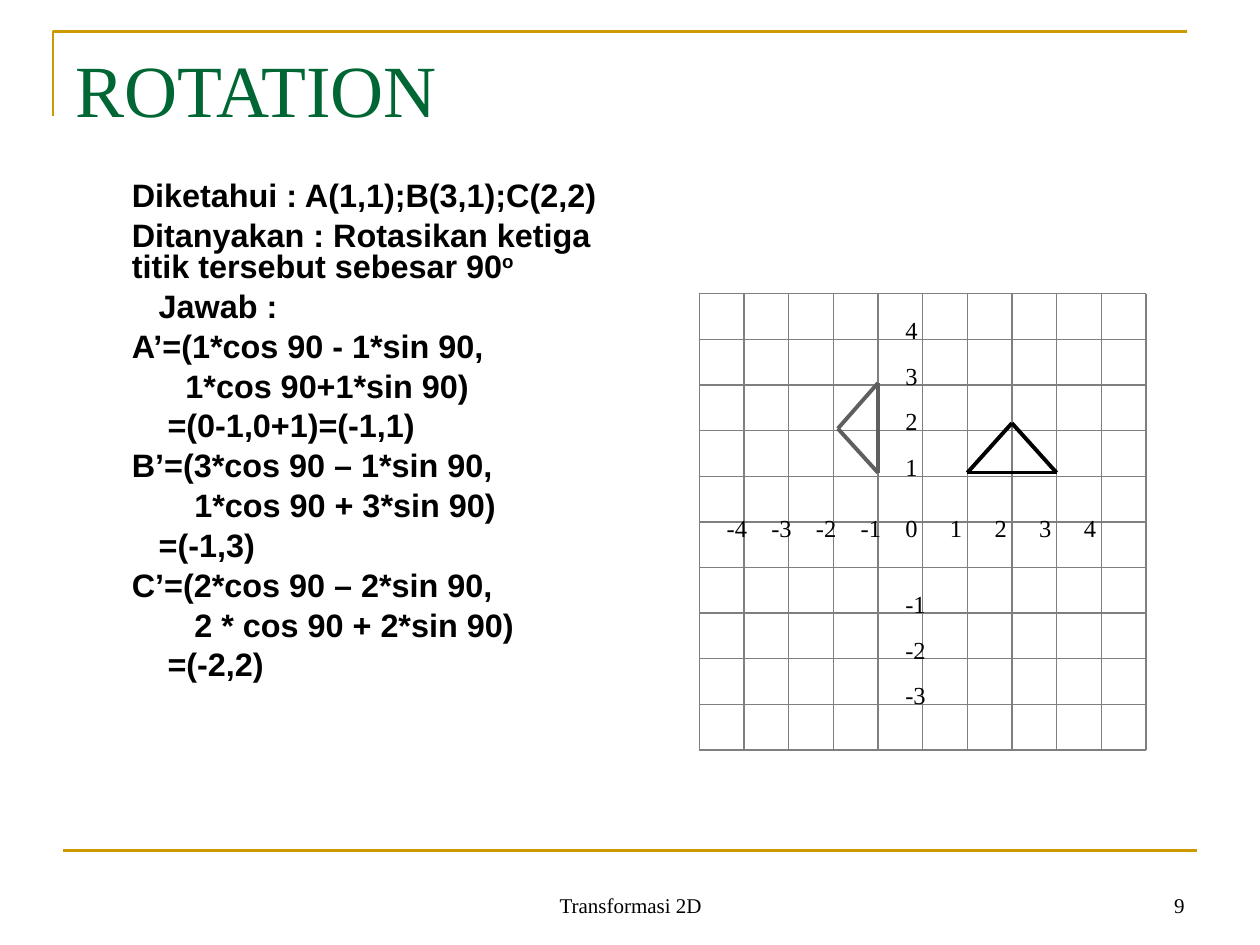
"""Build the slide that works through a rotation by 90 degrees."""
from lxml import etree
from pptx import Presentation
from pptx.dml.color import RGBColor
from pptx.enum.shapes import MSO_CONNECTOR
from pptx.enum.text import MSO_ANCHOR, MSO_AUTO_SIZE, PP_ALIGN
from pptx.oxml.ns import qn
from pptx.util import Cm, Pt

STRAIGHT = MSO_CONNECTOR.STRAIGHT
TOP, BOTTOM = MSO_ANCHOR.TOP, MSO_ANCHOR.BOTTOM
LEFT, CENTER, RIGHT = PP_ALIGN.LEFT, PP_ALIGN.CENTER, PP_ALIGN.RIGHT
NO_FIT, GROW = MSO_AUTO_SIZE.NONE, MSO_AUTO_SIZE.SHAPE_TO_FIT_TEXT
GOLD = RGBColor(0xCC, 0x99, 0x00)
GREEN = RGBColor(0x00, 0x66, 0x33)
BLACK = RGBColor(0x00, 0x00, 0x00)
GRID_GRAY = RGBColor(0x7F, 0x7F, 0x7F)
DARK_GRAY = RGBColor(0x5F, 0x5F, 0x5F)
SERIF, SANS = "Times New Roman", "Arial"


def draw_line(shapes, start, end, color, width):
    points = [Cm(value) for value in (*start, *end)]
    line = shapes.add_connector(STRAIGHT, *points)
    line.line.color.rgb = color
    line.line.width = Pt(width)
    etree.SubElement(line._element.spPr, qn("a:effectLst"))


def add_text(shapes, area, lines, size, color=BLACK, font=SERIF, bold=False,
             align=LEFT, **frame_format):
    box = shapes.add_textbox(*[Cm(value) for value in area])
    frame = box.text_frame
    frame_values = {"word_wrap": True, "auto_size": NO_FIT,
                    "vertical_anchor": TOP, **frame_format}
    for name, value in frame_values.items():
        setattr(frame, name, value)
    for index, line in enumerate(lines):
        para = frame.paragraphs[0] if index == 0 else frame.add_paragraph()
        para.alignment = align
        span = para.add_run()
        span.text = line
        span.font.color.rgb = color
        for name, value in {"size": Pt(size), "name": font, "bold": bold}.items():
            setattr(span.font, name, value)
    return frame.paragraphs


deck = Presentation()
deck.slide_width, deck.slide_height = Cm(25.4), Cm(19.05)
page = deck.slides.add_slide(deck.slide_layouts[6])
shapes = page.shapes

builder = shapes.build_freeform(Cm(1.07), Cm(2.34))
builder.add_line_segments([(Cm(1.07), Cm(0.64)), (Cm(23.93), Cm(0.64))], close=False)
corner = builder.convert_to_shape()
corner.shadow.inherit = False
corner.fill.background()
corner.line.color.rgb = GOLD
corner.line.width = Pt(1.5)
draw_line(shapes, (1.27, 17.15), (24.13, 17.15), GOLD, 1.5)

add_text(shapes, (8.69, 17.35, 8.05, 1.27), ["Transformasi 2D"], 12,
         align=CENTER, vertical_anchor=BOTTOM)
add_text(shapes, (18.21, 17.35, 5.92, 1.27), ["9"], 12,
         align=RIGHT, vertical_anchor=BOTTOM)
add_text(shapes, (1.27, 0.76, 22.86, 3.18), ["ROTATION"], 42, GREEN)

SOLUTION = [
    (0, "Diketahui : A(1,1);B(3,1);C(2,2)"),
    (0, "Ditanyakan : Rotasikan ketiga titik tersebut sebesar 90"),
    (3, "Jawab :"),
    (0, "A’=(1*cos 90 - 1*sin 90,"),
    (6, "1*cos 90+1*sin 90)"),
    (4, "=(0-1,0+1)=(-1,1)"),
    (0, "B’=(3*cos 90 – 1*sin 90,"),
    (7, "1*cos 90 + 3*sin 90)"),
    (3, "=(-1,3)"),
    (0, "C’=(2*cos 90 – 2*sin 90,"),
    (7, "2 * cos 90 + 2*sin 90)"),
    (4, "=(-2,2)"),
]
INDENT, INDENT_STEP = 0.51, 0.18
paras = add_text(shapes, (1.9, 3.56, 10.59, 12.01), [line for _, line in SOLUTION],
                 18.5, font=SANS, bold=True)
for index, (para, (steps, _)) in enumerate(zip(paras, SOLUTION)):
    para.line_spacing = 0.8
    para.space_before = Pt(5 if index else 0)
    para._p.get_or_add_pPr().set("marL", str(Cm(INDENT + steps * INDENT_STEP)))
degree = paras[1].add_run()
degree.text = "o"
for name, value in {"size": Pt(18.5), "name": SANS, "bold": True}.items():
    setattr(degree.font, name, value)
degree.font.color.rgb = BLACK
degree._r.get_or_add_rPr().set("baseline", "30000")

GRID_LEFT, GRID_TOP, CELL_WIDTH, CELL_HEIGHT, CELLS = 14.1, 5.92, 0.9, 0.92, 10
GRID_RIGHT = GRID_LEFT + CELLS * CELL_WIDTH
GRID_BOTTOM = GRID_TOP + CELLS * CELL_HEIGHT
grid = page.shapes.add_group_shape().shapes
for index in range(CELLS + 1):
    x = GRID_LEFT + index * CELL_WIDTH
    y = GRID_TOP + index * CELL_HEIGHT
    draw_line(grid, (x, GRID_TOP), (x, GRID_BOTTOM), GRID_GRAY, 0.75)
    draw_line(grid, (GRID_LEFT, y), (GRID_RIGHT, y), GRID_GRAY, 0.75)

ZERO_LEFT, ZERO_TOP, FOUR_TOP = 18, 10.21, 6.23
labels = [(number, ZERO_LEFT + number * CELL_WIDTH, ZERO_TOP) for number in range(-4, 5)]
for number in (4, 3, 2, 1, -1, -2, -3):
    row = 4 - number if number > 0 else 5 - number
    labels.append((number, ZERO_LEFT, FOUR_TOP + row * CELL_HEIGHT))
for number, left, top in labels:
    width = 1 if number < 0 else 0.76
    add_text(grid, (left, top, width, 0.86), [str(number)], 14,
             word_wrap=False, auto_size=GROW)

TRIANGLES = [
    (BLACK, 1.5, [(19.5, 9.53), (21.3, 9.53), (20.4, 8.53)]),
    (DARK_GRAY, 2.25, [(17.7, 9.53), (17.7, 7.72), (16.89, 8.64)]),
]
for color, base_width, corners in TRIANGLES:
    triangle = page.shapes.add_group_shape().shapes
    ends = corners[1:] + corners[:1]
    for start, end, width in zip(corners, ends, (base_width, 2.25, 2.25)):
        draw_line(triangle, start, end, color, width)

deck.save("out.pptx")
